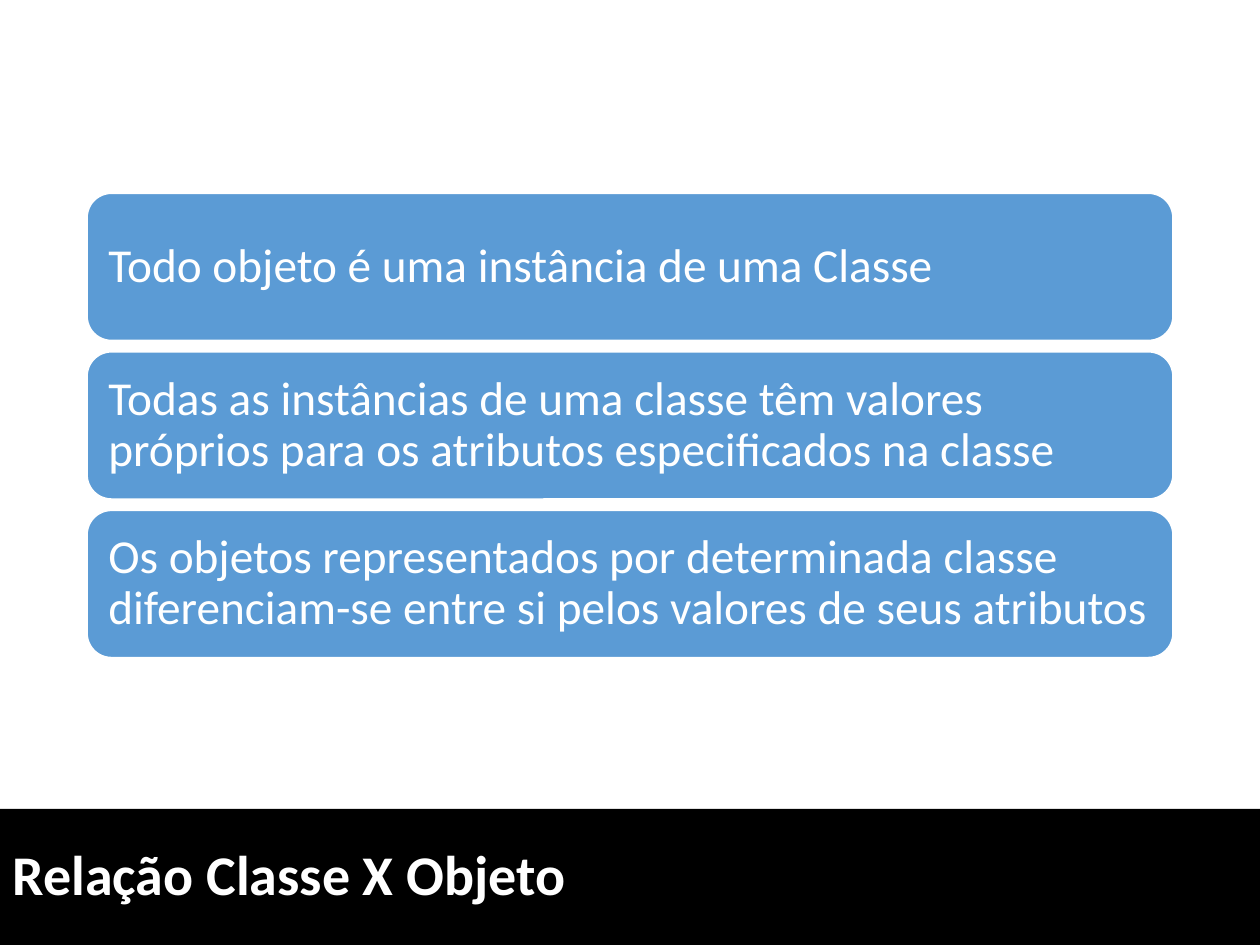
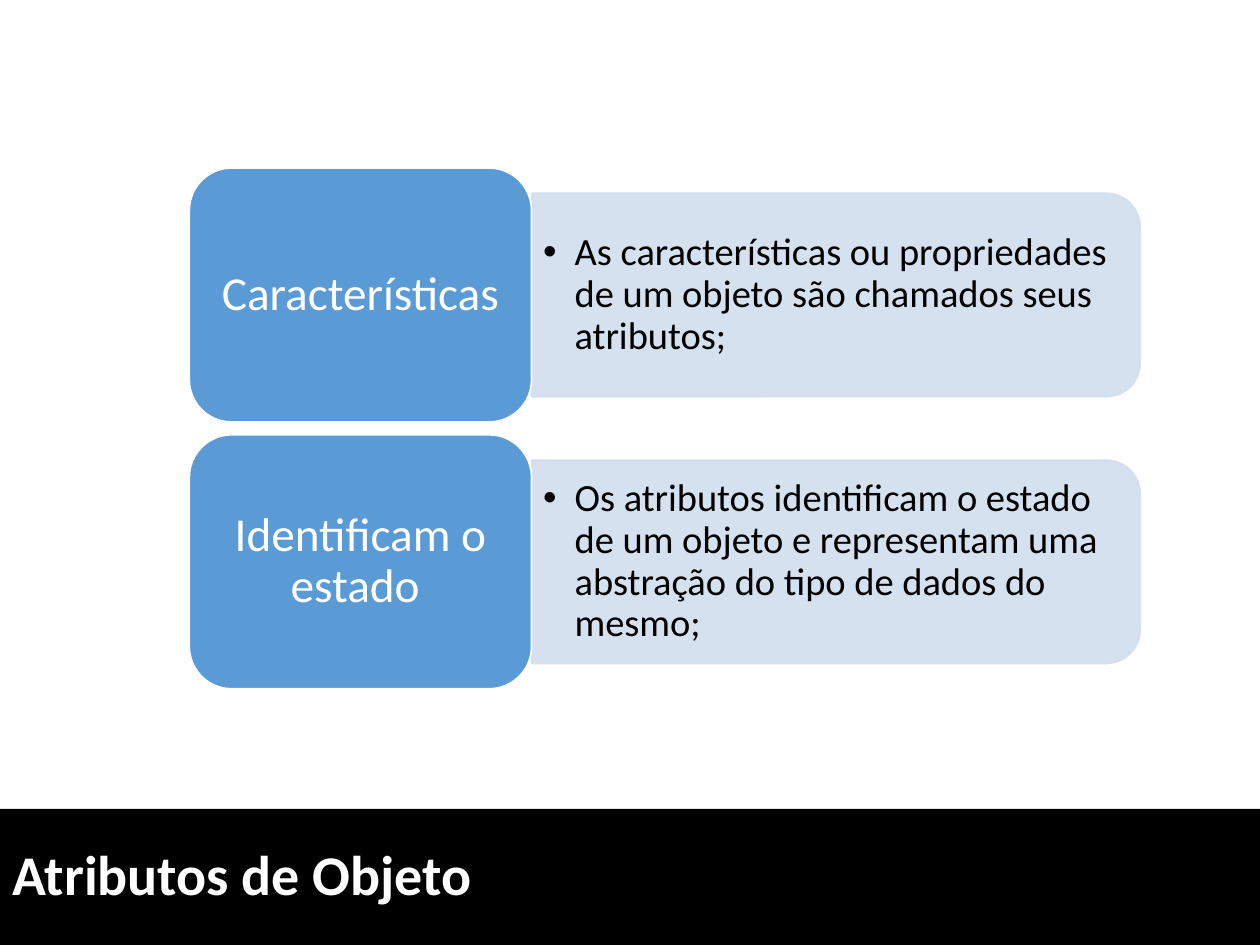
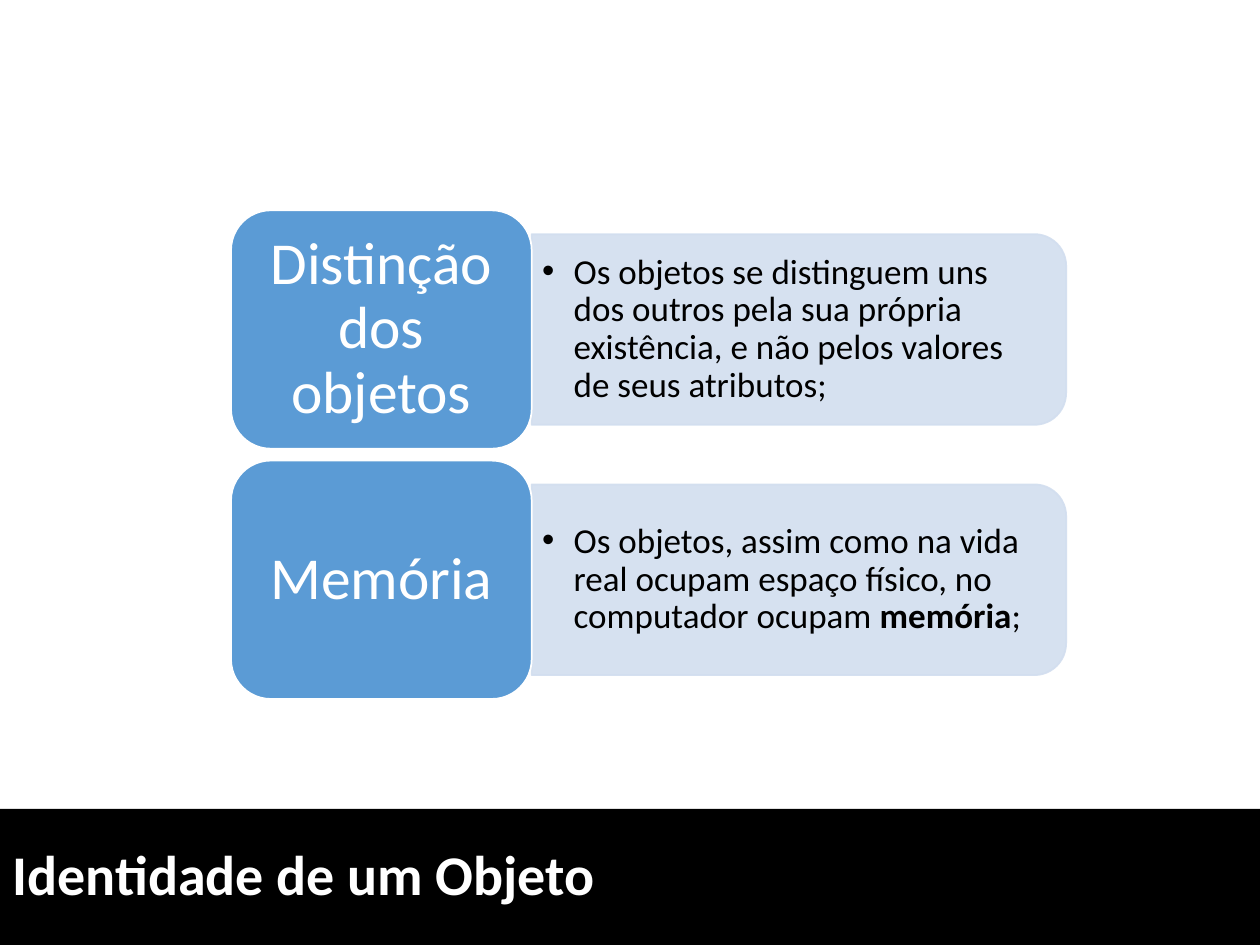
from dataclasses import dataclass

from lxml import etree
from pptx import Presentation
from pptx import util as u
from pptx.dml import color
from pptx.enum import shapes, text
from pptx.oxml import ns


@dataclass(frozen=True)
class Theme:
    """Colours, font and type sizes of the deck (sizes in points)."""
    font: str = "Calibri"
    white: str = "FFFFFF"
    black: str = "000000"
    blue: str = "5B9BD5"
    pale_blue: str = "D2DEEF"
    title_size: float = 32
    card_size: float = 27
    line_spacing: float = 0.9
    inset_ratio: float = 0.3  # text inset per point of type size


@dataclass(frozen=True)
class Area:
    """A rectangle in points."""
    left: float
    top: float
    width: float
    height: float

    def lengths(self) -> tuple:
        return tuple(u.Pt(value) for value in
                     (self.left, self.top, self.width, self.height))


@dataclass(frozen=True)
class Span:
    words: str
    bold: bool = False


@dataclass(frozen=True)
class Row:
    """A label and the statement in the panel beside it."""
    label: str
    statement: tuple[Span, ...]


@dataclass(frozen=True)
class RowStyle:
    """Place of the first label and type sizes of one list."""
    first: Area
    label_size: float
    statement_size: float


THEME = Theme()
PAGE = Area(0, 0, 720, 540)
BAND = Area(0, 462.24, 720, 77.76)
FIRST_CARD = Area(49.68, 110.4, 620.64, 84.24)
CARD_GAP = 6.36

# Proportions of the label-and-panel lists
PANEL_WIDTH = 16 / 9   # of the label width
PANEL_HEIGHT = 0.8     # of the label height
ROW_GAP = 0.05         # of the label height
CORNER_SLACK = 0.29 / 6  # room a rounded corner takes, of the panel height


def rgb(value: str) -> color.RGBColor:
    return color.RGBColor.from_string(value)


def write(frame, spans: tuple[Span, ...], size: float, ink: str,
          align=text.PP_ALIGN.LEFT):
    """Fill the first paragraph run by run and return it."""
    frame.word_wrap = True
    frame.auto_size = text.MSO_AUTO_SIZE.NONE
    frame.vertical_anchor = text.MSO_ANCHOR.MIDDLE
    para = frame.paragraphs[0]
    para.alignment = align
    para.line_spacing = THEME.line_spacing
    for span in spans:
        run = para.add_run()
        run.text = span.words
        run.font.name = THEME.font
        run.font.size = u.Pt(size)
        run.font.bold = span.bold
        run.font.color.rgb = rgb(ink)
    return para


def set_insets(frame, across: float, down: float) -> None:
    frame.margin_left = frame.margin_right = u.Pt(across)
    frame.margin_top = frame.margin_bottom = u.Pt(down)


def add_box(page, kind, area: Area, fill: str, line: str):
    box = page.shapes.add_shape(kind, *area.lengths())
    box.shadow.inherit = False
    box.fill.solid()
    box.fill.fore_color.rgb = rgb(fill)
    box.line.color.rgb = rgb(line)
    box.line.width = u.Pt(1)
    return box


def add_page(deck, title: str):
    """Add a slide with its title in the black band at the bottom."""
    page = deck.slides.add_slide(deck.slide_layouts[5])
    band = page.shapes.title
    band.left, band.top, band.width, band.height = BAND.lengths()
    band.fill.solid()
    band.fill.fore_color.rgb = rgb(THEME.black)
    write(band.text_frame, (Span(title, bold=True),),
          THEME.title_size, THEME.white)
    return page


def add_card(page, area: Area, words: str, size: float, align,
             down_ratio: float) -> None:
    """Draw a blue rounded box with white text."""
    box = add_box(page, shapes.MSO_SHAPE.ROUNDED_RECTANGLE, area,
                  THEME.blue, THEME.white)
    inset = size * THEME.inset_ratio
    set_insets(box.text_frame, inset, inset * down_ratio)
    write(box.text_frame, (Span(words),), size, THEME.white, align)


def add_panel(page, area: Area, spans: tuple[Span, ...], size: float) -> None:
    """Draw a pale panel rounded on the right, with a bulleted statement."""
    # The preset is rounded on top, so it is turned a quarter clockwise
    upright = Area(area.left + (area.width - area.height) / 2,
                   area.top + (area.height - area.width) / 2,
                   area.height, area.width)
    panel = add_box(page, shapes.MSO_SHAPE.ROUND_2_SAME_RECTANGLE, upright,
                    THEME.pale_blue, THEME.pale_blue)
    panel.rotation = 90
    for tint in panel._element.spPr.iter(ns.qn("a:srgbClr")):
        etree.SubElement(tint, ns.qn("a:alpha"), val="90000")

    slack = area.height * CORNER_SLACK
    inner = Area(area.left, area.top + slack,
                 area.width - slack, area.height - 2 * slack)
    frame = page.shapes.add_textbox(*inner.lengths()).text_frame
    inset = size * THEME.inset_ratio
    set_insets(frame, inset, inset / 2)
    para = write(frame, spans, size, THEME.black)
    para.level = 1

    # Hanging bullet
    props = para._p.get_or_add_pPr()
    props.set("marL", str(u.Pt(18)))
    props.set("indent", str(-u.Pt(18)))
    etree.SubElement(props, ns.qn("a:buFont"), typeface="Arial")
    etree.SubElement(props, ns.qn("a:buChar"), char="•")


def add_cards(page, statements: tuple[str, ...]) -> None:
    first = FIRST_CARD
    for index, words in enumerate(statements):
        top = first.top + index * (first.height + CARD_GAP)
        add_card(page, Area(first.left, top, first.width, first.height),
                 words, THEME.card_size, text.PP_ALIGN.LEFT, 1)


def add_rows(page, style: RowStyle, rows: tuple[Row, ...]) -> None:
    first = style.first
    for index, row in enumerate(rows):
        top = first.top + index * first.height * (1 + ROW_GAP)
        label = Area(first.left, top, first.width, first.height)
        panel = Area(label.left + label.width,
                     top + label.height * (1 - PANEL_HEIGHT) / 2,
                     label.width * PANEL_WIDTH,
                     label.height * PANEL_HEIGHT)
        add_panel(page, panel, row.statement, style.statement_size)
        add_card(page, label, row.label, style.label_size,
                 text.PP_ALIGN.CENTER, 0.5)


def main() -> None:
    deck = Presentation()
    deck.slide_width, deck.slide_height = u.Pt(PAGE.width), u.Pt(PAGE.height)

    # Class and object
    add_cards(add_page(deck, "Relação Classe X Objeto"), (
        "Todo objeto é uma instância de uma Classe",
        "Todas as instâncias de uma classe têm valores próprios para os "
        "atributos especificados na classe",
        "Os objetos representados por determinada classe diferenciam-se "
        "entre si pelos valores de seus atributos",
    ))

    # Attributes
    add_rows(add_page(deck, "Atributos de Objeto"),
             RowStyle(Area(108.2, 96, 195.6, 145.2), 27, 22), (
        Row("Características", (
            Span("As características ou propriedades de um objeto são "
                 "chamados seus atributos;"),)),
        Row("Identificam o estado ", (
            Span("Os atributos identificam o estado de um objeto e "
                 "representam uma abstração do tipo de dados do mesmo;"),)),
    ))

    # Identity
    add_rows(add_page(deck, "Identidade de um Objeto"),
             RowStyle(Area(132, 120.2, 171.8, 136.2), 34, 20), (
        Row("Distinção dos objetos", (
            Span("Os objetos se distinguem uns dos outros pela sua própria "
                 "existência, e não pelos valores de seus atributos;"),)),
        Row("Memória", (
            Span("Os objetos, assim como na vida real ocupam espaço físico, "
                 "no computador ocupam "),
            Span("memória", bold=True),
            Span(";"))),
    ))

    deck.save("out.pptx")


main()
